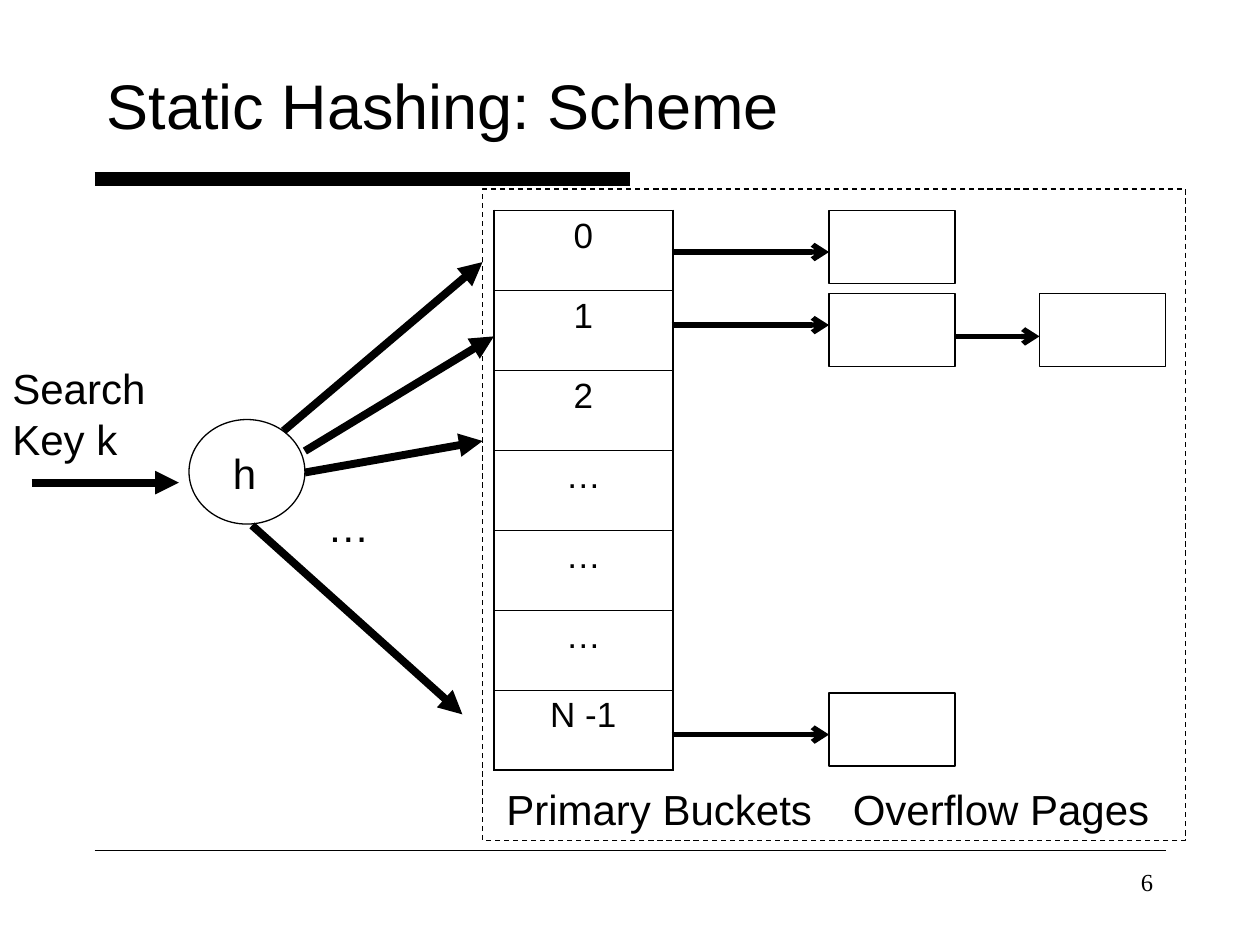
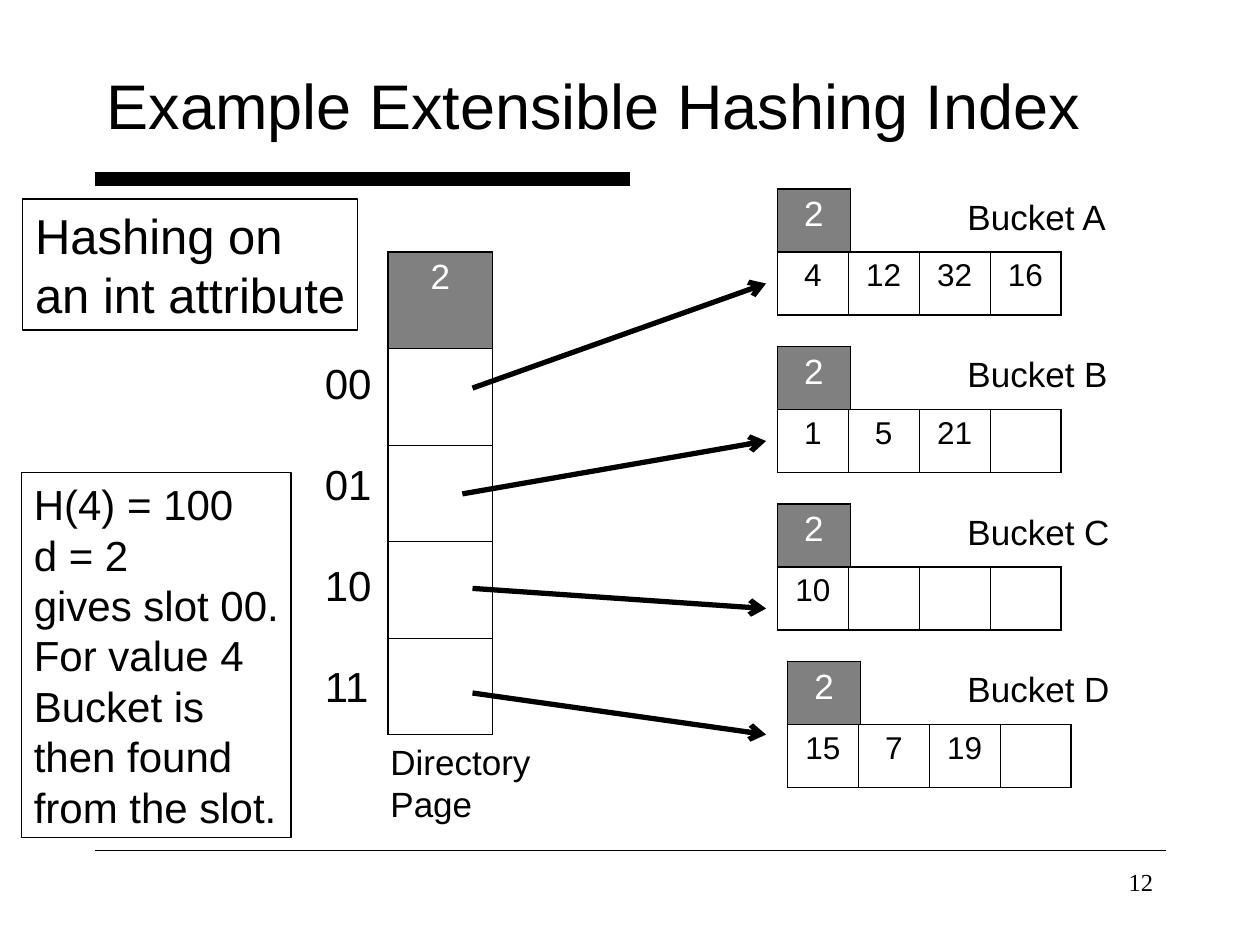
from lxml import etree
from pptx import Presentation
from pptx import util as u
from pptx.dml import color
from pptx.enum import dml, shapes, text
from pptx.oxml import ns

BLACK, WHITE, GREY = "000000", "FFFFFF", "808080"
SANS, SERIF = "Arial", "Times New Roman"
OUTER, INNER = 1.08, 0.45


def rgb(value):
    return color.RGBColor.from_string(value)


def inches(*values):
    return [u.Inches(v) for v in values]


def style(p, size, font=SANS, fill=BLACK, align=text.PP_ALIGN.LEFT):
    p.alignment = align
    p.font.size = u.Pt(size)
    p.font.name = font
    p.font.color.rgb = rgb(fill)


def write(sp, lines, size, gap=0):
    tf = sp.text_frame
    tf.word_wrap = True
    tf.margin_right = 0
    tf.vertical_anchor = text.MSO_ANCHOR.TOP
    for i, line_text in enumerate(lines):
        p = tf.add_paragraph() if i else tf.paragraphs[0]
        p.text = line_text
        if i and gap:
            p.space_before = u.Pt(gap)
        style(p, size)
    return tf


def label(s, box, lines, size=24, gap=0):
    return write(s.shapes.add_textbox(*inches(*box)), lines, size, gap)


def outline(s, box, kind=shapes.MSO_SHAPE.RECTANGLE, dash=None):
    sp = s.shapes.add_shape(kind, *inches(*box))
    sp.shadow.inherit = False
    sp.fill.background()
    sp.line.color.rgb = rgb(BLACK)
    sp.line.width = u.Pt(0.75)
    if dash:
        sp.line.dash_style = dash
    return sp


def line(s, start, end, width, head=None):
    c = s.shapes.add_connector(shapes.MSO_CONNECTOR.STRAIGHT, *inches(*start, *end))
    c.line.color.rgb = rgb(BLACK)
    c.line.width = u.Pt(width)
    if head:
        ln = c._element.spPr.find(ns.qn("a:ln"))
        etree.SubElement(ln, ns.qn("a:tailEnd"), type=head)
    etree.SubElement(c._element.spPr, ns.qn("a:effectLst"))


def border(cell, side, width):
    ln = etree.SubElement(cell._tc.get_or_add_tcPr(), ns.qn("a:ln" + side), w=str(u.Pt(width)))
    fill = etree.SubElement(ln, ns.qn("a:solidFill"))
    etree.SubElement(fill, ns.qn("a:srgbClr"), val=BLACK)


def grid(s, box, rows, size=20, header=False):
    n_rows, n_cols = len(rows), len(rows[0])
    table = s.shapes.add_table(n_rows, n_cols, *inches(*box)).table
    table.first_row = table.horz_banding = False
    for row in table.rows:
        row.height = u.Inches(box[3] / n_rows)
    for column in table.columns:
        column.width = u.Inches(box[2] / n_cols)
    for i, row in enumerate(rows):
        for j, value in enumerate(row):
            cell = table.cell(i, j)
            edges = {"L": j == 0, "R": j == n_cols - 1, "T": i == 0, "B": i == n_rows - 1}
            for side, outer in edges.items():
                border(cell, side, OUTER if outer else INNER)
            shaded = header and i == 0
            if shaded:
                cell.fill.solid()
                cell.fill.fore_color.rgb = rgb(GREY)
            else:
                cell.fill.background()
            p = cell.text_frame.paragraphs[0]
            p.text = value
            style(p, size, fill=WHITE if shaded else BLACK, align=text.PP_ALIGN.CENTER)


def frame(prs, title, number):
    s = prs.slides.add_slide(prs.slide_layouts[6])
    line(s, (0.75, 1.42), (5, 1.42), 8)
    line(s, (0.75, 6.75), (9.25, 6.75), 1)
    tf = label(s, (0.75, 0.33, 8.5, 1), [title], 36)
    tf.vertical_anchor = text.MSO_ANCHOR.MIDDLE
    tf = s.shapes.add_textbox(*inches(7.17, 6.83, 2.08, 0.5)).text_frame
    tf.word_wrap = True
    p = tf.paragraphs[0]
    p.text = str(number)
    style(p, 14, SERIF, align=text.PP_ALIGN.RIGHT)
    return s


def hash_function(s, x, y):
    outline(s, (x + 1.5, y + 0.5, 0.92, 0.83), shapes.MSO_SHAPE.OVAL)
    label(s, (x + 1.75, y + 0.67, 0.38, 0.5), ["h"])
    label(s, (x, y, 1.25, 0.9), ["Search", "Key k"])
    label(s, (x + 2.5, y + 1.09, 0.53, 0.5), ["…"])
    arrows = [((0.25, 1), (1.42, 1)), ((2.25, 0.59), (3.83, -0.75)),
              ((2.42, 0.75), (3.92, -0.16)), ((2.42, 0.92), (3.83, 0.67)),
              ((2, 1.34), (3.67, 2.84))]
    for (x1, y1), (x2, y2) in arrows:
        line(s, (x + x1, y + y1), (x + x2, y + y2), 4.5, "triangle")


def storage(s, x, y, w, h):
    buckets = ["0", "1", "2", "…", "…", "…", "N -1"]
    grid(s, (x + 0.09, y + 0.17, 1.42, 4.44), [[b] for b in buckets])
    primary, second = x + 2.75, x + 4.42
    for left, top in [(primary, 0.17), (primary, 0.83), (second, 0.83), (primary, 4)]:
        outline(s, (left, y + top, 1, 0.58))
    for dy in (0.5, 1.08, 4.33):
        line(s, (x + 1.5, y + dy), (primary, y + dy), 3, "arrow")
    line(s, (primary + 1, y + 1.17), (second, y + 1.17), 3, "arrow")
    label(s, (x + 0.09, y + 4.67, 2.62, 0.5), ["Primary Buckets"])
    label(s, (x + 2.84, y + 4.67, 2.55, 0.5), ["Overflow Pages"])
    outline(s, (x, y, w, h), dash=dml.MSO_LINE.DASH)


def directory(s, x, y):
    grid(s, (x, y, 0.83, 3.83), [["2"], [""], [""], [""], [""]], header=True)
    label(s, (x - 0.08, y + 3.83, 1.31, 0.77), ["Directory", "Page"], 20)
    label(s, (x - 0.6, y + 0.79, 0.57, 2.9), ["00", "01", "10", "11"], gap=28.8)


def bucket(s, x, y, values):
    grid(s, (x, y + 0.5, 2.25, 0.5), [values], 18)
    grid(s, (x, y, 0.58, 0.5), [["2"]], header=True)


def scheme_slide(prs):
    s = frame(prs, "Static Hashing: Scheme", 6)
    hash_function(s, 0, 2.83)
    storage(s, 3.83, 1.5, 5.58, 5.17)


def example_slide(prs):
    s = frame(prs, "Example Extensible Hashing Index", 12)
    directory(s, 3.08, 2)
    buckets = [
        ("A", 6.17, ["4", "12", "32", "16"], (3.75, 3.08), 2.25),
        ("B", 6.17, ["1", "5", "21", ""], (3.67, 3.92), 3.5),
        ("C", 6.17, ["10", "", "", ""], (3.75, 4.67), 4.83),
        ("D", 6.25, ["15", "7", "19", ""], (3.75, 5.5), 5.83),
    ]
    for i, (name, left, values, slot, target) in enumerate(buckets):
        top = 1.5 + 1.25 * i
        bucket(s, left, top, values)
        label(s, (7.58, top, 1.33, 0.44), [f"Bucket {name}"], 20)
        line(s, slot, (6.08, target), 3, "arrow")
    write(outline(s, (0.18, 1.58, 2.66, 1.04)), ["Hashing on", "an int attribute"], 28)
    write(outline(s, (0.17, 3.75, 2.14, 2.9)),
          ["H(4) = 100", "d = 2", "gives slot 00.", "For value 4",
           "Bucket is", "then found", "from the slot."], 24)


def main():
    prs = Presentation()
    prs.slide_width, prs.slide_height = inches(10, 7.5)
    scheme_slide(prs)
    example_slide(prs)
    prs.save("out.pptx")


if __name__ == "__main__":
    main()
